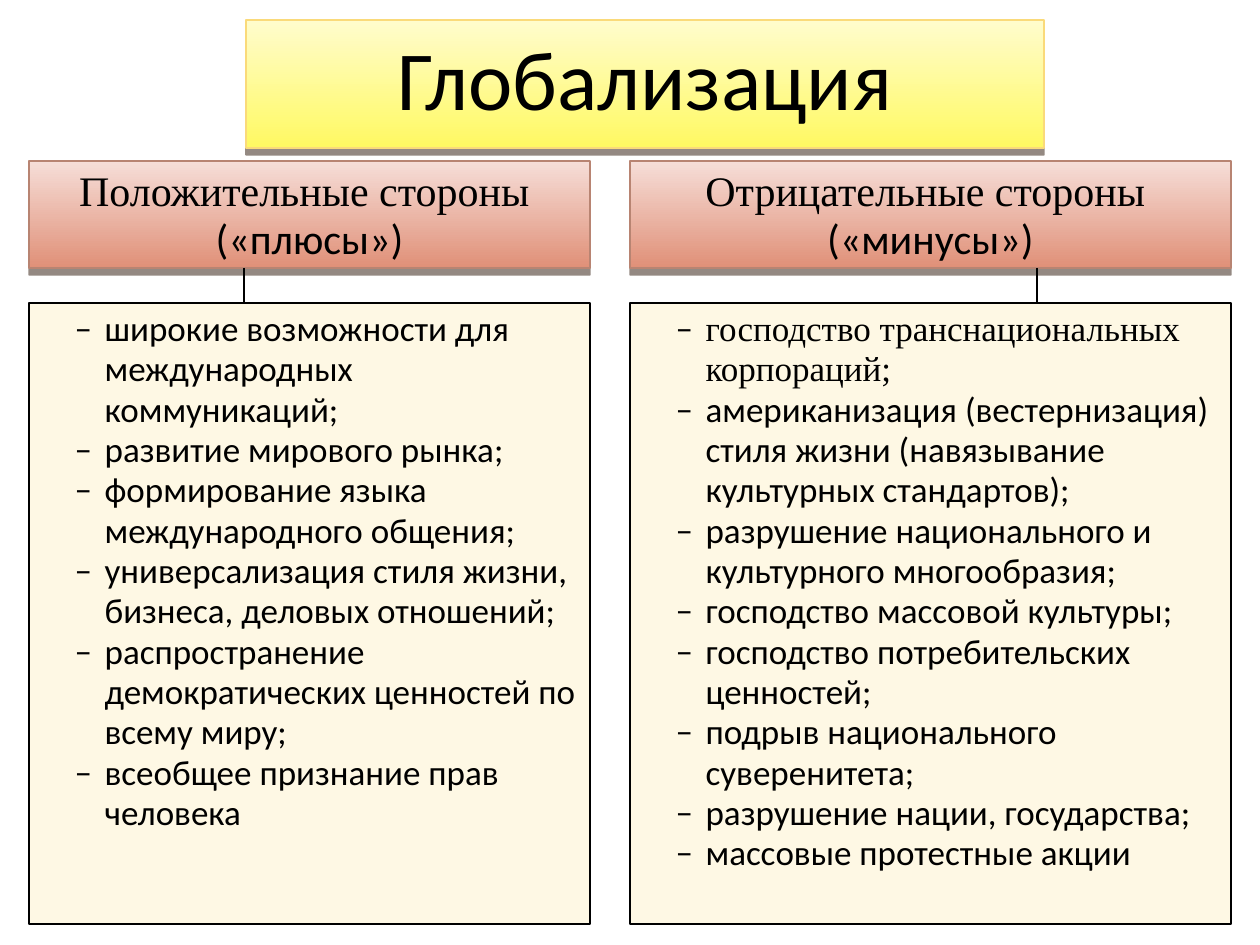
from lxml import etree
from pptx import Presentation
from pptx import util as u
from pptx.dml import color
from pptx.enum import shapes, text
from pptx.oxml import ns

SCALE = 914400 / 126
SANS, SERIF = "Calibri", "Times New Roman"
BLACK = "000000"

PLUS_HEADER = [("Положительные стороны ", SERIF), ("(«плюсы»)", SANS)]
PLUS_ITEMS = [
    ("широкие возможности для международных коммуникаций;", SANS),
    ("развитие мирового рынка;", SANS),
    ("формирование языка международного общения;", SANS),
    ("универсализация стиля жизни, бизнеса, деловых отношений;", SANS),
    ("распространение демократических ценностей по всему миру;", SANS),
    ("всеобщее признание прав человека", SANS),
]
MINUS_HEADER = [("Отрицательные стороны ", SERIF), ("(«минусы»)", SANS)]
MINUS_ITEMS = [
    ("господство транснациональных корпораций;", SERIF),
    ("американизация (вестернизация) стиля жизни (навязывание культурных стандартов);", SANS),
    ("разрушение национального и культурного многообразия;", SANS),
    ("господство массовой культуры;", SANS),
    ("господство потребительских ценностей;", SANS),
    ("подрыв национального суверенитета;", SANS),
    ("разрушение нации, государства;", SANS),
    ("массовые протестные акции", SANS),
]


def px(value):
    return u.Emu(int(value * SCALE))


def rgb(value):
    return color.RGBColor.from_string(value)


def add_xml(parent, tag, **attributes):
    return etree.SubElement(parent, ns.qn(tag), **attributes)


def place(box, left, top, width, height):
    box.left, box.top, box.width, box.height = map(px, (left, top, width, height))


def set_line(shape, line_color, width):
    shape.line.color.rgb = rgb(line_color)
    shape.line.width = u.Pt(width)


def set_gradient(box, start, end):
    box.fill.gradient()
    box.fill.gradient_angle = 270
    for stop, value in zip(box.fill.gradient_stops, (start, end)):
        stop.color.rgb = rgb(value)


def add_shadow(box):
    effects = add_xml(box._element.spPr, "a:effectLst")
    shadow = add_xml(effects, "a:outerShdw", dist="50800", dir="5400000",
                     algn="ctr", rotWithShape="0")
    tint = add_xml(shadow, "a:srgbClr", val="4E3B30")
    add_xml(tint, "a:alpha", val="60000")


def set_geometry(box, preset, **guides):
    geometry = etree.Element(ns.qn("a:prstGeom"), prst=preset)
    values = add_xml(geometry, "a:avLst")
    for name, value in guides.items():
        add_xml(values, "a:gd", name=name, fmla=f"val {value}")
    box._element.spPr.insert(1, geometry)


def add_dash(para):
    props = para._p.get_or_add_pPr()
    props.set("marL", str(px(63)))
    props.set("indent", str(px(-30)))
    tint = add_xml(props, "a:buClr")
    add_xml(tint, "a:srgbClr", val=BLACK)
    add_xml(props, "a:buFont", typeface=SANS)
    add_xml(props, "a:buChar", char="–")


def write(box, lines, size, spacing=1.0, after=0, dashes=False):
    frame = box.text_frame
    frame.word_wrap = True
    frame.auto_size = text.MSO_AUTO_SIZE.NONE
    frame.vertical_anchor = text.MSO_ANCHOR.TOP
    for index, (words, font) in enumerate(lines):
        para = frame.add_paragraph() if index else frame.paragraphs[0]
        para.level = 1 if dashes else 0
        para.alignment = text.PP_ALIGN.LEFT if dashes else text.PP_ALIGN.CENTER
        para.line_spacing = spacing
        para.space_before = u.Pt(0)
        para.space_after = u.Pt(after if index == len(lines) - 1 else 0)
        if dashes:
            add_dash(para)
        span = para.add_run()
        span.text = words
        span.font.name = font
        span.font.size = u.Pt(size)
        span.font.bold = False
        span.font.color.rgb = rgb(BLACK)


def build_title(box, left, top, width, height):
    place(box, left, top, width, height)
    set_geometry(box, "hexagon", adj=104000, vf=115470)
    set_gradient(box, "FFFCCD", "FFF962")
    set_line(box, "FADA7A", 0.79)
    add_shadow(box)
    write(box, [("Глобализация", SANS)], 48, after=10)


def build_column(page, header, body, header_lines, items, left, top, width, stem):
    header_height, gap, body_height = 107, 35, 621
    header_bottom = top + header_height
    body_top = header_bottom + gap

    place(header, left, top, width, header_height)
    set_gradient(header, "F6DED8", "E09078")
    set_line(header, "B88472", 0.79)
    add_shadow(header)
    write(header, header_lines, 24, spacing=0.96, after=10)

    place(body, left, body_top, width, body_height)
    body.fill.solid()
    body.fill.fore_color.rgb = rgb("FEF8E4")
    set_line(body, BLACK, 0.75)
    write(body, items, 20, spacing=0.96, dashes=True)

    link = page.shapes.add_connector(
        shapes.MSO_CONNECTOR.STRAIGHT,
        px(left + stem), px(header_bottom), px(left + stem), px(body_top))
    set_line(link, BLACK, 0.75)
    add_xml(link._element.spPr, "a:effectLst")


def main():
    deck = Presentation()
    deck.slide_width, deck.slide_height = px(1260), px(945)
    page = deck.slides.add_slide(deck.slide_layouts.get_by_name("Comparison"))
    title, plus_header, plus_body, minus_header, minus_body = page.placeholders
    build_title(title, 246, 20, 798, 128)
    build_column(page, plus_header, plus_body, PLUS_HEADER, PLUS_ITEMS,
                 left=29, top=161, width=561, stem=215)
    build_column(page, minus_header, minus_body, MINUS_HEADER, MINUS_ITEMS,
                 left=630, top=161, width=601, stem=407)
    deck.save("out.pptx")


if __name__ == "__main__":
    main()
